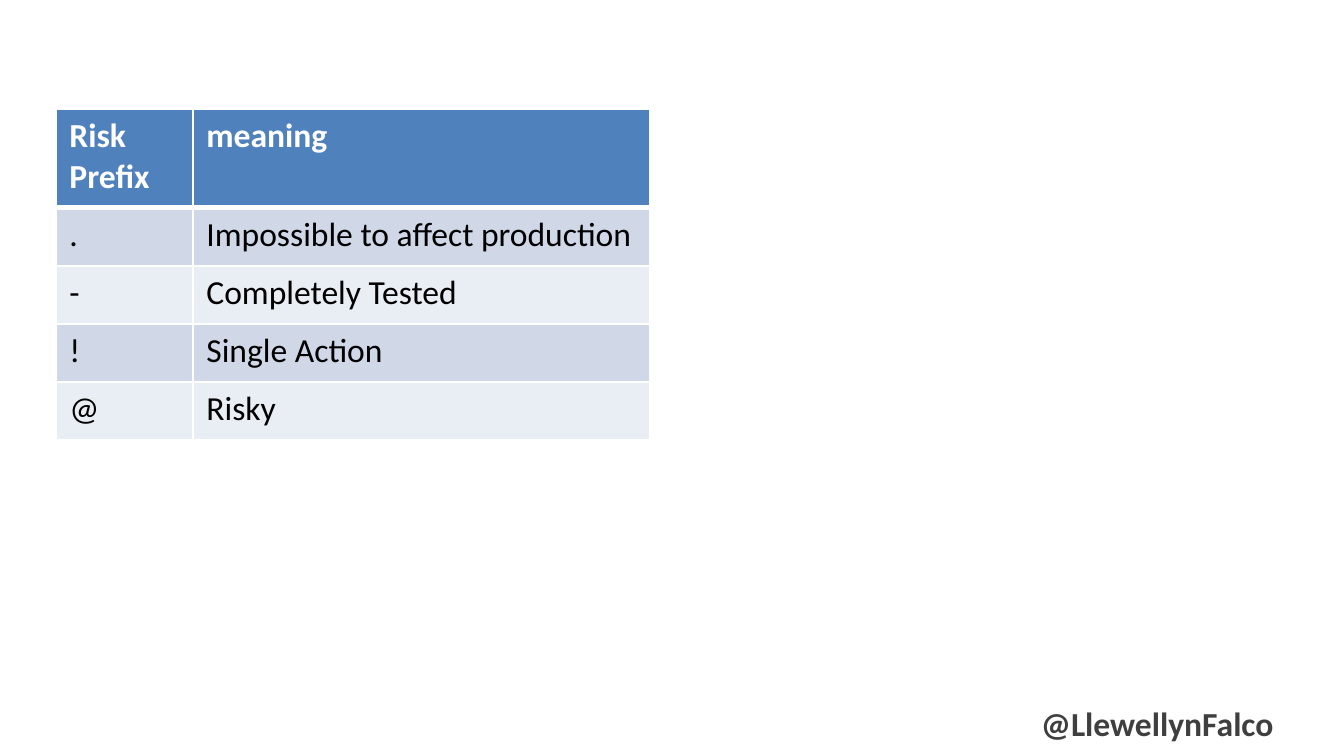
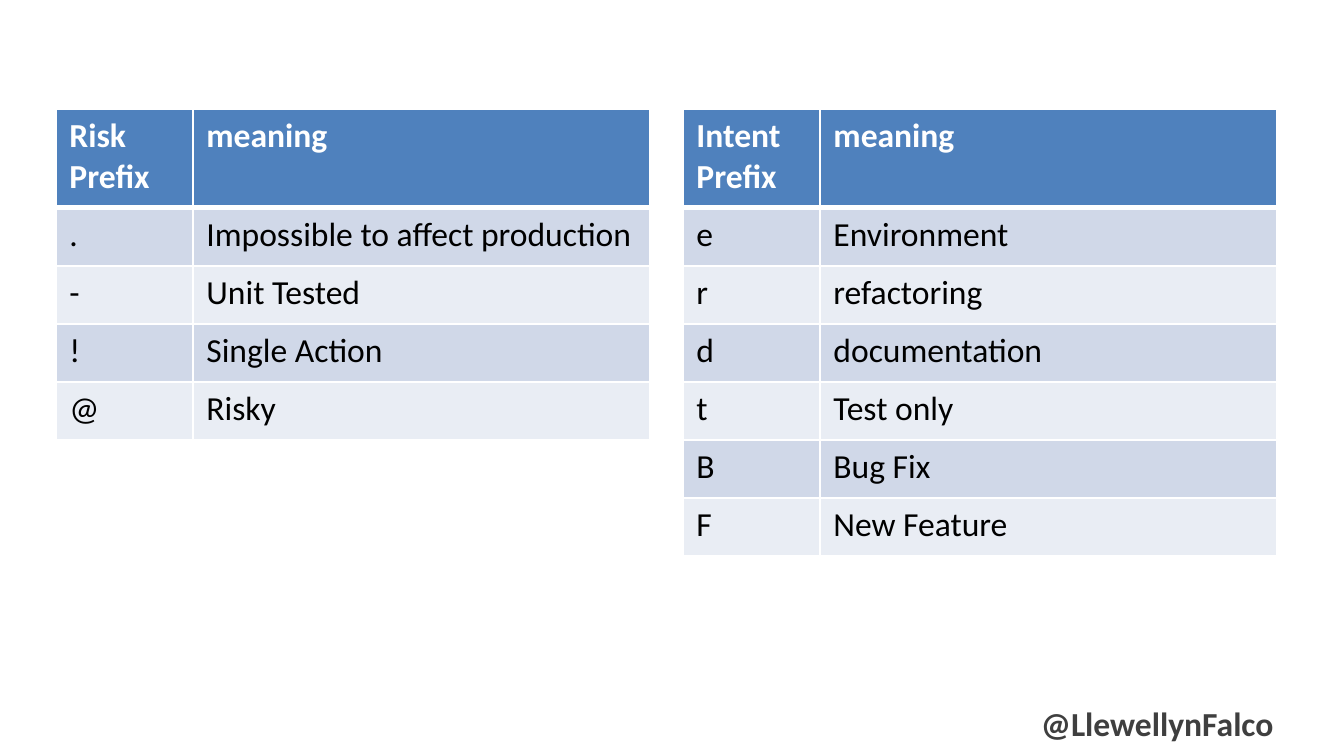
"""Build two slides of commit prefix tables."""
from lxml.etree import SubElement
from pptx import Presentation
from pptx.dml.color import RGBColor
from pptx.enum.text import MSO_AUTO_SIZE, PP_ALIGN
from pptx.oxml.ns import qn
from pptx.util import Emu, Pt

HANDLE = "@LlewellynFalco"


def risk(dash):
    return [
        ("Risk Prefix", "meaning"),
        (".", "Impossible to affect production"),
        ("-", dash),
        ("!", "Single Action"),
        ("@", "Risky"),
    ]


INTENT = [
    ("Intent Prefix", "meaning"),
    ("e", "Environment"),
    ("r", "refactoring"),
    ("d", "documentation"),
    ("t", "Test only"),
    ("B", "Bug Fix"),
    ("F", "New Feature"),
]
SLIDES = [[risk("Completely Tested")], [risk("Unit Tested"), INTENT]]

FONT, SIZE = "Calibri", 18
WHITE, BLACK, GREY = "FFFFFF", "000000", "3F3F3F"
HEAD, BANDS = "4F81BD", ("D0D8E8", "E9EDF4")
WIDE, HIGH = 1344, 756
LEFT, TOP, GAP = 56, 109, 33
COLS = (137, 457)
HEAD_ROW, ROW = 99, 58
FOOT = (1024, 696, 263, 54)
THIN, THICK = 1, 3


def px(num):
    return Emu(round(num * 914400 / 134.4))


def tint(code):
    return RGBColor.from_string(code)


def style(frame, color, bold):
    for para in frame.paragraphs:
        for run in para.runs:
            font = run.font
            font.name, font.size, font.bold = FONT, Pt(SIZE), bold
            font.color.rgb = tint(color)


def edge(cell, sides):
    props = cell._tc.get_or_add_tcPr()
    for side, width in sides.items():
        line = SubElement(props, qn(f"a:ln{side}"), w=str(Pt(width)))
        fill = SubElement(line, qn("a:solidFill"))
        SubElement(fill, qn("a:srgbClr"), val=WHITE)


def add_grid(slide, rows, left):
    high = HEAD_ROW + ROW * (len(rows) - 1)
    box = [px(num) for num in (left, TOP, sum(COLS), high)]
    table = slide.shapes.add_table(len(rows), len(COLS), *box).table
    for col, width in zip(table.columns, COLS):
        col.width = px(width)
    for r, texts in enumerate(rows):
        first = r == 0
        table.rows[r].height = px(HEAD_ROW if first else ROW)
        above = THICK if r == 1 else THIN
        below = THICK if first else THIN
        for c, text in enumerate(texts):
            cell = table.cell(r, c)
            cell.text_frame.text = text
            style(cell.text_frame, WHITE if first else BLACK, first)
            edge(cell, {"L": THIN, "R": THIN, "T": above, "B": below})
            cell.fill.solid()
            cell.fill.fore_color.rgb = tint(HEAD if first else BANDS[(r - 1) % 2])


def add_foot(slide):
    frame = slide.shapes.add_textbox(*map(px, FOOT)).text_frame
    frame.text = HANDLE
    frame.word_wrap = False
    frame.auto_size = MSO_AUTO_SIZE.SHAPE_TO_FIT_TEXT
    frame.paragraphs[0].alignment = PP_ALIGN.RIGHT
    style(frame, GREY, True)


def main():
    deck = Presentation()
    deck.slide_width, deck.slide_height = px(WIDE), px(HIGH)
    for grids in SLIDES:
        slide = deck.slides.add_slide(deck.slide_layouts[6])
        add_foot(slide)
        for i, rows in enumerate(grids):
            add_grid(slide, rows, LEFT + i * (sum(COLS) + GAP))
    deck.save("out.pptx")


if __name__ == "__main__":
    main()
